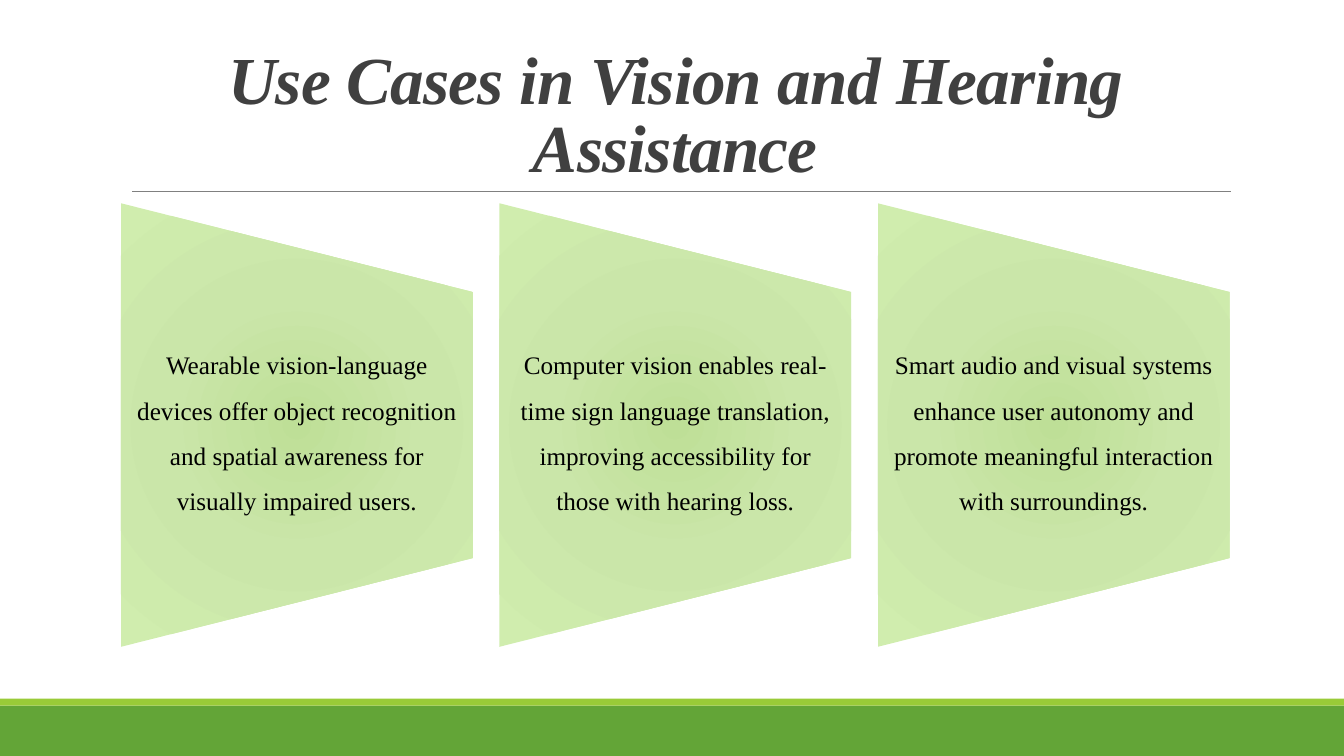
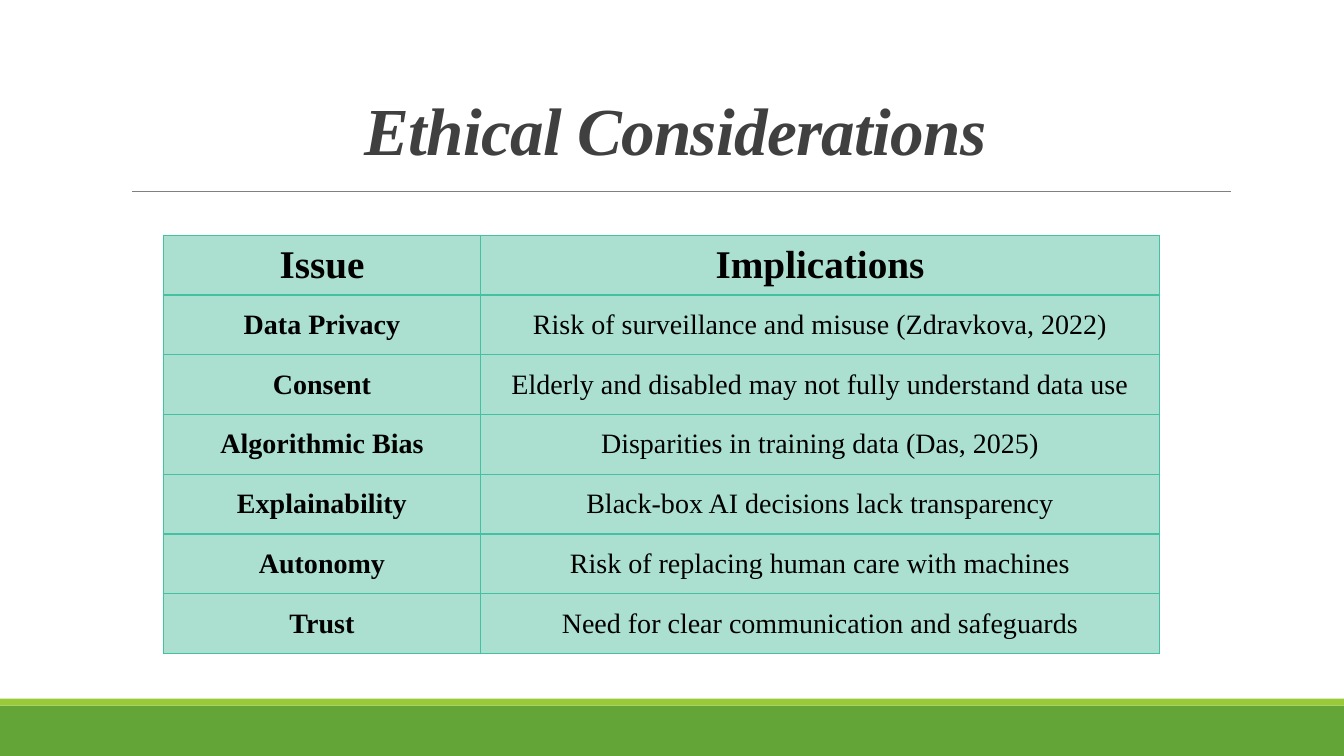
from pptx import Presentation
from pptx.dml.color import RGBColor
from pptx.enum.shapes import MSO_CONNECTOR, MSO_SHAPE
from pptx.enum.text import MSO_ANCHOR, PP_ALIGN
from pptx.oxml import parse_xml
from pptx.oxml.ns import nsdecls, qn
from pptx.util import Pt

"""Builds two slides on assistive technology: use cases and ethics."""

USE_CASES_TITLE = "Use Cases in Vision and Hearing Assistance"
USE_CASES = [
    "Wearable vision-language devices offer object recognition and spatial awareness "
    "for visually impaired users.",
    "Computer vision enables real-time sign language translation, improving "
    "accessibility for those with hearing loss.",
    "Smart audio and visual systems enhance user autonomy and promote meaningful "
    "interaction with surroundings.",
]
ETHICS_TITLE = "Ethical Considerations"
ETHICS = [
    ("Issue", "Implications"),
    ("Data Privacy", "Risk of surveillance and misuse (Zdravkova, 2022)"),
    ("Consent", "Elderly and disabled may not fully understand data use"),
    ("Algorithmic Bias", "Disparities in training data (Das, 2025)"),
    ("Explainability", "Black-box AI decisions lack transparency"),
    ("Autonomy", "Risk of replacing human care with machines"),
    ("Trust", "Need for clear communication and safeguards"),
]

FONT = "Times New Roman"
WHITE = RGBColor(0xFF, 0xFF, 0xFF)
BLACK = RGBColor(0x00, 0x00, 0x00)
TITLE_GRAY = RGBColor(0x40, 0x40, 0x40)
RULE_GRAY = RGBColor(0x80, 0x80, 0x80)
GREEN = RGBColor(0x63, 0xA5, 0x37)
LIME = RGBColor(0x99, 0xCB, 0x38)
MINT = RGBColor(0xAB, 0xE0, 0xD0)
TEAL = RGBColor(0x44, 0xC1, 0xA3)
PANEL_STOPS = [
    (0, RGBColor(0xBE, 0xDF, 0x97)),
    (45, RGBColor(0xCA, 0xE6, 0xA9)),
    (100, RGBColor(0xD0, 0xED, 0xAE)),
]

SLIDE_W, SLIDE_H = 960, 540
BANDS = [(504, 36, GREEN), (499, 5, LIME)]
RULE_LEFT, RULE_RIGHT, RULE_Y = 94.5, 879, 137
TITLE_LEFT, TITLE_W, TITLE_H = 86.4, 792, 114.5
PANEL_LEFT, PANEL_W, PANEL_H, PANEL_STEP = 86.4, 251.3, 316.8, 270.3
PANEL_MID, PANEL_TEXT_H = 303.6, 190
TABLE_LEFT, TABLE_TOP, ROW_H = 116.7, 168, 42.7
COLUMN_WIDTHS = (226.6, 484.9)


def style_text(tf, size, color=BLACK, bold=False, italic=False, spacing=None):
    for p in tf.paragraphs:
        p.alignment = PP_ALIGN.CENTER
        p.line_spacing = spacing
        for r in p.runs:
            r.font.name, r.font.size = FONT, Pt(size)
            r.font.bold, r.font.italic = bold, italic
            r.font.color.rgb = color


def add_text(slide, text, left, top, width, height, anchor):
    tf = slide.shapes.add_textbox(Pt(left), Pt(top), Pt(width), Pt(height)).text_frame
    tf.word_wrap = True
    tf.vertical_anchor = anchor
    tf.text = text
    return tf


def add_base(prs, title, title_top):
    slide = prs.slides.add_slide(prs.slide_layouts[6])
    slide.background.fill.solid()
    slide.background.fill.fore_color.rgb = WHITE
    for top, height, color in BANDS:
        band = slide.shapes.add_shape(
            MSO_SHAPE.RECTANGLE, 0, Pt(top), Pt(SLIDE_W), Pt(height))
        band.shadow.inherit = False
        band.fill.solid()
        band.fill.fore_color.rgb = color
        band.line.fill.background()
    rule = slide.shapes.add_connector(
        MSO_CONNECTOR.STRAIGHT, Pt(RULE_LEFT), Pt(RULE_Y), Pt(RULE_RIGHT), Pt(RULE_Y))
    rule.line.color.rgb = RULE_GRAY
    rule.line.width = Pt(0.5)
    rule._element.spPr.append(parse_xml(f"<a:effectLst {nsdecls('a')}/>"))
    tf = add_text(slide, title, TITLE_LEFT, title_top, TITLE_W, TITLE_H,
                  MSO_ANCHOR.BOTTOM)
    style_text(tf, 48, TITLE_GRAY, bold=True, italic=True, spacing=0.85)
    tf.paragraphs[0].runs[0].font._element.set("spc", "-50")
    return slide


def fill_radial(sp, stops):
    gs = "".join(
        f'<a:gs pos="{pos * 1000}"><a:srgbClr val="{color}"/></a:gs>'
        for pos, color in stops)
    grad = parse_xml(
        f'<a:gradFill {nsdecls("a")} rotWithShape="1"><a:gsLst>{gs}</a:gsLst>'
        '<a:path path="circle"><a:fillToRect l="100000" t="100000" r="100000" '
        'b="100000"/></a:path></a:gradFill>')
    sp._element.spPr.find(qn("a:prstGeom")).addnext(grad)


def add_panel(slide, text, left):
    sp = slide.shapes.add_shape(
        MSO_SHAPE.FLOWCHART_MANUAL_OPERATION,
        Pt(left + (PANEL_W - PANEL_H) / 2), Pt(PANEL_MID - PANEL_W / 2),
        Pt(PANEL_H), Pt(PANEL_W))
    sp.rotation = 270
    sp.shadow.inherit = False
    sp.line.fill.background()
    fill_radial(sp, PANEL_STOPS)
    tf = add_text(slide, text, left, PANEL_MID - PANEL_TEXT_H / 2, PANEL_W,
                  PANEL_TEXT_H, MSO_ANCHOR.MIDDLE)
    tf.margin_left = tf.margin_right = Pt(8.6)
    tf.margin_top = tf.margin_bottom = 0
    style_text(tf, 18, spacing=1.5)


def set_borders(cell, color):
    tc_pr = cell._tc.get_or_add_tcPr()
    for i, side in enumerate(("lnL", "lnR", "lnT", "lnB")):
        tc_pr.insert(i, parse_xml(
            f'<a:{side} {nsdecls("a")} w="{Pt(1)}"><a:solidFill>'
            f'<a:srgbClr val="{color}"/></a:solidFill></a:{side}>'))


def add_ethics_table(slide):
    table = slide.shapes.add_table(
        len(ETHICS), len(COLUMN_WIDTHS), Pt(TABLE_LEFT), Pt(TABLE_TOP),
        Pt(sum(COLUMN_WIDTHS)), Pt(ROW_H * len(ETHICS))).table
    for column, width in zip(table.columns, COLUMN_WIDTHS):
        column.width = Pt(width)
    for i, texts in enumerate(ETHICS):
        table.rows[i].height = Pt(ROW_H)
        for j, text in enumerate(texts):
            cell = table.cell(i, j)
            cell.text = text
            cell.vertical_anchor = MSO_ANCHOR.MIDDLE
            cell.fill.solid()
            cell.fill.fore_color.rgb = MINT
            set_borders(cell, TEAL)
            style_text(cell.text_frame, 28 if i == 0 else 20, bold=i == 0 or j == 0)


def main():
    prs = Presentation()
    prs.slide_width, prs.slide_height = Pt(SLIDE_W), Pt(SLIDE_H)
    slide = add_base(prs, USE_CASES_TITLE, 22.3)
    for i, text in enumerate(USE_CASES):
        add_panel(slide, text, PANEL_LEFT + i * PANEL_STEP)
    add_ethics_table(add_base(prs, ETHICS_TITLE, 10))
    prs.save("out.pptx")


if __name__ == "__main__":
    main()
